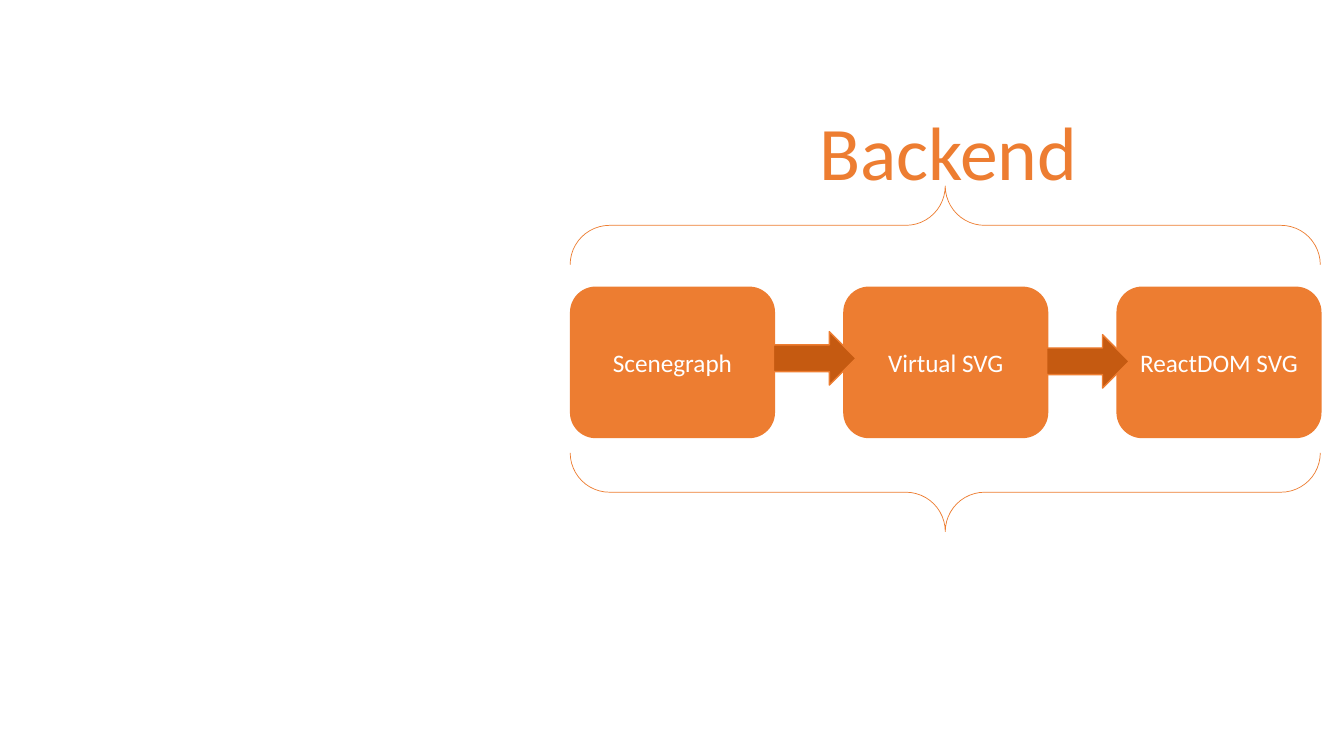
from pptx import Presentation
from pptx.dml.color import RGBColor
from pptx.enum.shapes import MSO_SHAPE
from pptx.enum.text import MSO_ANCHOR, MSO_AUTO_SIZE, PP_ALIGN
from pptx.util import Inches, Pt

BOX = MSO_SHAPE.ROUNDED_RECTANGLE
ARROW = MSO_SHAPE.RIGHT_ARROW
BRACE = MSO_SHAPE.DOUBLE_BRACE
MIDDLE = MSO_ANCHOR.MIDDLE
TOP = MSO_ANCHOR.TOP
CENTER = PP_ALIGN.CENTER
FIT = MSO_AUTO_SIZE.SHAPE_TO_FIT_TEXT
ORANGE, RUST, WHITE = "ED7D31", "C55A11", "FFFFFF"
STAGES = ["Scenegraph", "Virtual SVG", "ReactDOM SVG"]
LEFT, STEP = 5.66, 2.71


def color(fmt, value):
    """Apply a hex colour to a colour format."""
    fmt.rgb = RGBColor.from_string(value)


def write(shape, text, size, ink, anchor):
    """Put one centred line of text in a shape."""
    frame = shape.text_frame
    frame.text = text
    frame.vertical_anchor = anchor
    para = frame.paragraphs[0]
    para.alignment = CENTER
    font = para.runs[0].font
    font.name, font.size = "Calibri", Pt(size)
    color(font.color, ink)


def draw(slide, kind, place, fill=None, width=1):
    """Add an orange-edged shape, filled if a colour is given."""
    shape = slide.shapes.add_shape(kind, *map(Inches, place))
    shape.shadow.inherit = False
    if fill:
        shape.fill.solid()
        color(shape.fill.fore_color, fill)
    else:
        shape.fill.background()
    color(shape.line.color, ORANGE)
    shape.line.width = Pt(width)
    return shape


def head(slide, text):
    """Place the title above the braces."""
    title = slide.shapes.title
    title.left, title.top = Inches(8.01), Inches(0.99)
    title.width, title.height = Inches(2.79), Inches(1.01)
    write(title, text, 54, ORANGE, TOP)
    frame = title.text_frame
    frame.word_wrap = False
    frame.auto_size = FIT
    frame.paragraphs[0].line_spacing = 1.0


def main():
    """Build the backend pipeline slide."""
    deck = Presentation()
    deck.slide_width, deck.slide_height = Inches(13.33), Inches(7.5)
    slide = deck.slides.add_slide(deck.slide_layouts[5])
    head(slide, "Backend")
    for i, name in enumerate(STAGES):
        box = draw(slide, BOX, (LEFT + i * STEP, 2.85, 2.02, 1.49), ORANGE)
        write(box, name, 18, WHITE, MIDDLE)
    for i, top in enumerate([3.29, 3.32]):
        draw(slide, ARROW, (7.67 + i * STEP, top, 0.82, 0.53), RUST)
    brace = draw(slide, BRACE, (7.66, -0.16, 3.43, 7.44), width=0.5)
    brace.rotation = 90
    brace.adjustments[0] = 0.114
    deck.save("out.pptx")


main()
